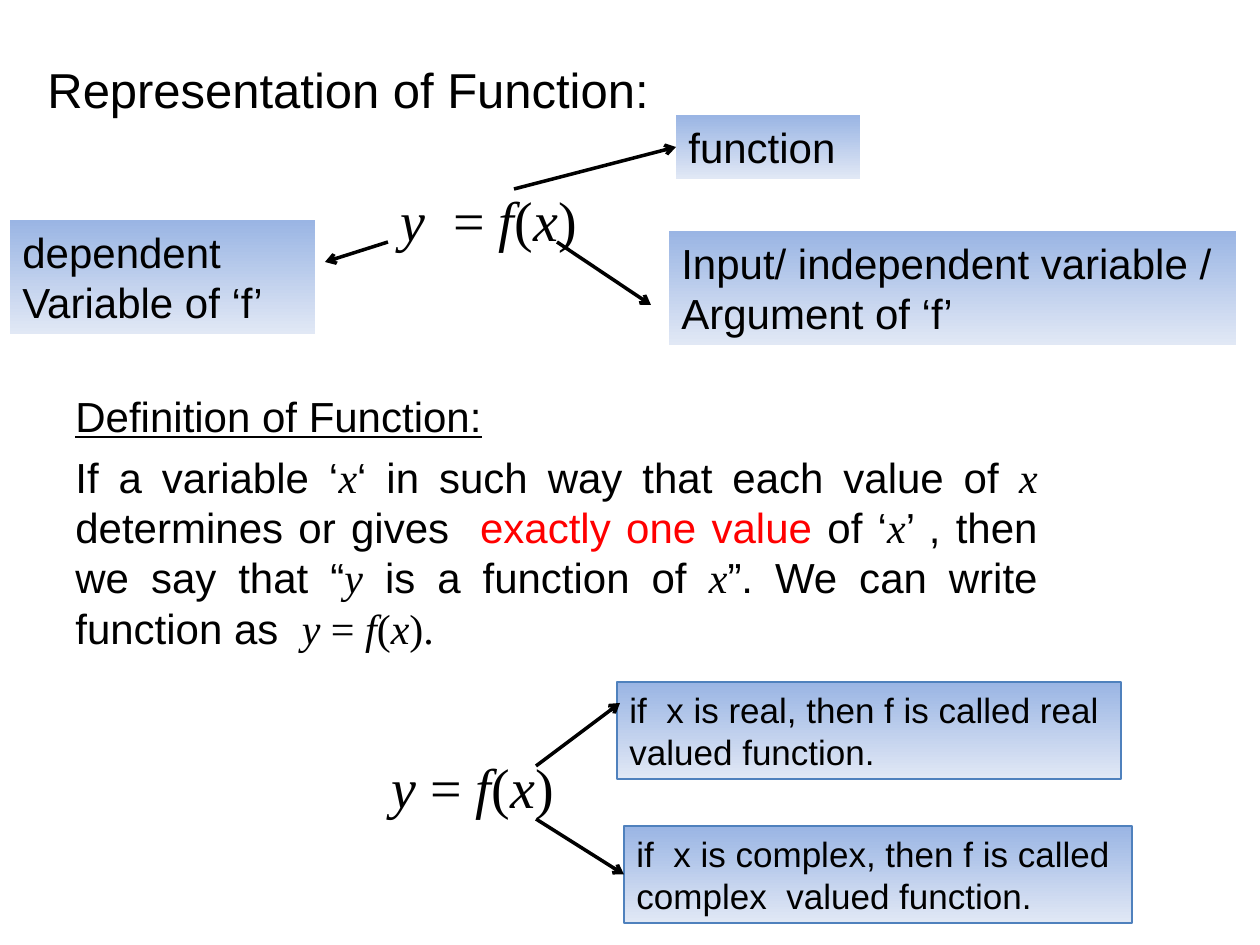
from dataclasses import dataclass

from lxml import etree
from pptx import Presentation
from pptx import util as u
from pptx.dml.color import RGBColor
from pptx.enum import shapes, text
from pptx.oxml.ns import qn

PX = u.Inches(1) / 126


@dataclass(frozen=True)
class Theme:
    sans: str = "Arial"
    serif: str = "Times New Roman"
    ink: RGBColor = RGBColor(0x00, 0x00, 0x00)
    key: RGBColor = RGBColor(0xFF, 0x00, 0x00)
    top: RGBColor = RGBColor(0x9A, 0xB5, 0xE4)
    bottom: RGBColor = RGBColor(0xE1, 0xE8, 0xF5)
    border: RGBColor = RGBColor(0x4F, 0x81, 0xBD)
    title: int = 28
    formula: int = 32
    body: int = 24
    note: int = 20


theme = Theme()


def px(*lengths):
    return [round(length * PX) for length in lengths]


def write(box, paragraphs, size, font=theme.sans, wrap=False):
    """Fill box; a paragraph is a list of (text, style) spans."""
    frame = box.text_frame
    frame.word_wrap = wrap
    frame.auto_size = text.MSO_AUTO_SIZE.SHAPE_TO_FIT_TEXT
    frame.vertical_anchor = text.MSO_ANCHOR.TOP
    for index, spans in enumerate(paragraphs):
        para = frame.add_paragraph() if index else frame.paragraphs[0]
        para.alignment = text.PP_ALIGN.LEFT
        para.font.name, para.font.size = font, u.Pt(size)
        para.font.color.rgb = theme.ink
        for words, style in spans:
            span = para.add_run()
            span.text = words
            if style in ("math", "sign") and font != theme.serif:
                span.font.name = theme.serif
            if style == "math":
                span.font.italic = True
            if style == "key":
                span.font.color.rgb = theme.key


deck = Presentation()
deck.slide_width, deck.slide_height = px(1260, 945)
page = deck.slides.add_slide(deck.slide_layouts[6])

# Title and the two formulas
title = page.shapes.add_textbox(*px(35, 53, 626, 72))
write(title, [[("Representation of Function:", "")]], theme.title)

f_of_x = [("f", "math"), ("(", "sign"), ("x", "math")]
for place, equals, wrap in (
    ((388, 179, 220, 81), "  = ", True),
    ((379, 746, 188, 81), " = ", False),
):
    formula = page.shapes.add_textbox(*px(*place))
    spans = [("y", "math"), (equals, "sign"), *f_of_x, (")", "sign")]
    write(formula, [spans], theme.formula, theme.serif, wrap)

# Definition
definition = page.shapes.add_textbox(*px(63, 384, 987, 276))
write(definition, [
    [("Definition of Function:", "")],
    [("If a variable ‘", ""), ("x", "math"),
     ("‘ in such way that each value of ", ""), ("x", "math"),
     (" determines or gives  ", ""), ("exactly one value", "key"),
     (" of ‘", ""), ("x", "math"), ("’ , then we say that “", ""),
     ("y", "math"), (" is a function of ", ""), ("x", "math"),
     ("”. We can write function as  ", ""), ("y ", "math"),
     ("= ", "sign"), *f_of_x, (").", "sign")],
], theme.body, wrap=True)
heading, statement = definition.text_frame.paragraphs
heading.font.underline = True
statement.alignment = text.PP_ALIGN.JUSTIFY
statement.space_before = statement.space_after = u.Pt(6)

# Callout boxes: place, lines, size, outlined, wrapped
callouts = []
for place, lines, size, outlined, wrap in (
    ((676, 115, 184, 64), ["function"], theme.body, False, False),
    ((669, 231, 567, 114), ["Input/ independent variable /", "Argument of ‘f’"],
     theme.body, False, False),
    ((10, 220, 305, 114), ["dependent", "Variable of ‘f’"], theme.body, False, True),
    ((617, 682, 504, 97), ["if  x is real, then f is called real", "valued function."],
     theme.note, True, False),
    ((624, 826, 508, 97), ["if  x is complex, then f is called", "complex  valued function."],
     theme.note, True, False),
):
    box = page.shapes.add_shape(shapes.MSO_SHAPE.RECTANGLE, *px(*place))
    box.shadow.inherit = False
    box.fill.gradient()
    box.fill.gradient_angle = 270
    for stop, color, position in zip(
        box.fill.gradient_stops, (theme.top, theme.bottom), (0, 1)
    ):
        stop.color.rgb, stop.position = color, position
    if outlined:
        box.line.color.rgb, box.line.width = theme.border, u.Pt(0.75)
    else:
        box.line.fill.background()
    write(box, [[(line, "")] for line in lines], size, wrap=wrap)
    callouts.append(box)
function_box, _, _, _, complex_box = callouts

# Arrows from the formulas: ends, and the box joined at its left side
for ends, target in (
    ((514, 189, 676, 147), function_box),
    ((557, 242, 651, 305), None),
    ((388, 242, 325, 262), None),
    ((536, 766, 620, 703), None),
    ((536, 819, 624, 875), complex_box),
):
    arrow = page.shapes.add_connector(shapes.MSO_CONNECTOR.STRAIGHT, *px(*ends))
    if target is not None:
        arrow.end_connect(target, 1)
    arrow.line.color.rgb, arrow.line.width = theme.ink, u.Pt(2)
    etree.SubElement(arrow.line._get_or_add_ln(), qn("a:tailEnd"), type="arrow")
    etree.SubElement(arrow._element.spPr, qn("a:effectLst"))

deck.save("out.pptx")
